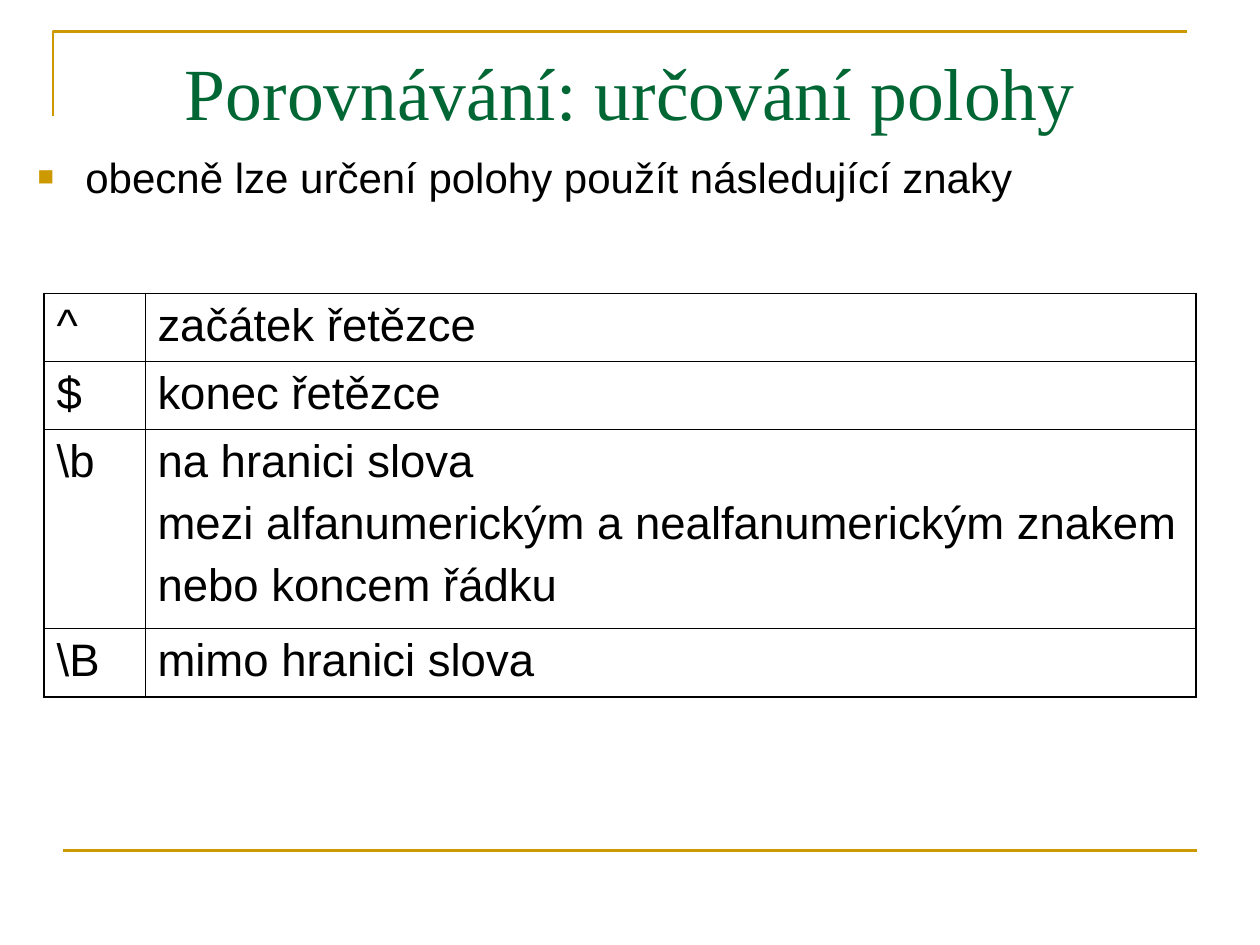
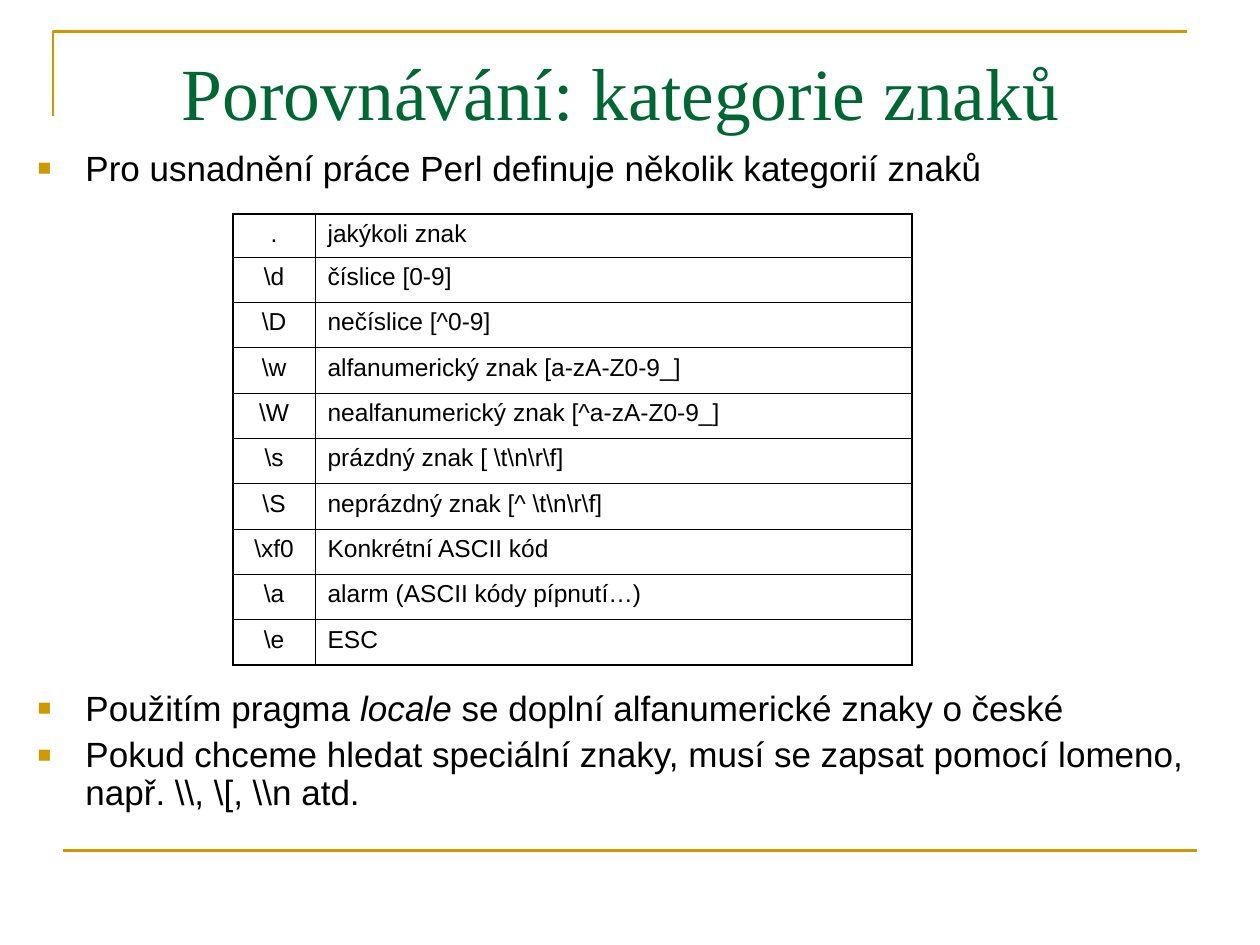
from lxml import etree
from pptx import Presentation
from pptx import util as u
from pptx.dml.color import RGBColor
from pptx.enum import shapes, text
from pptx.oxml import ns

GOLD = RGBColor(0xCC, 0x99, 0x00)
GREEN = RGBColor(0x00, 0x66, 0x33)
BLACK = RGBColor(0x00, 0x00, 0x00)
TITLE_FONT, BODY_FONT = "Times New Roman", "Arial"
THIN, THICK = 0.45, 1.08
HANGING = 0.38

SLIDES = [
    {
        "title": "Porovnávání: určování polohy",
        "size": 24, "line_spacing": 1.0, "body_height": 5.59,
        "bullets": [
            (6, [("obecně lze určení polohy použít následující znaky", False)]),
        ],
        "table": {
            "at": (0.35, 2.33), "columns": (0.8, 8.34),
            "row_heights": [0.54, 0.54, 1.58, 0.54],
            "size": 26, "space": 6.5, "key_align": text.PP_ALIGN.LEFT,
            "rows": [
                ("^", "začátek řetězce"),
                ("$", "konec řetězce"),
                (r"\b", "na hranici slova\n"
                        "mezi alfanumerickým a nealfanumerickým znakem\n"
                        "nebo koncem řádku"),
                (r"\B", "mimo hranici slova"),
            ],
        },
    },
    {
        "title": "Porovnávání: kategorie znaků ",
        "size": 20, "line_spacing": 0.9, "body_height": 5.75,
        "bullets": [
            (5, [("Pro usnadnění práce Perl definuje několik kategorií znaků", False)]),
            (287, [("Použitím pragma", False), (" locale", True),
                   (" se doplní alfanumerické znaky o české", False)]),
            (5, [("Pokud chceme hledat speciální znaky, musí se zapsat pomocí "
                  r"lomeno, např. \\, \[, \\n atd.", False)]),
        ],
        "table": {
            "at": (1.85, 1.7), "columns": (0.65, 4.74),
            "row_heights": [0.34] + [0.36] * 9,
            "size": 14, "space": 3.5, "key_align": text.PP_ALIGN.CENTER,
            "rows": [
                (".", "jakýkoli znak"),
                (r"\d", "číslice [0-9]"),
                (r"\D", "nečíslice [^0-9]"),
                (r"\w", "alfanumerický znak [a-zA-Z0-9_]"),
                (r"\W", "nealfanumerický znak [^a-zA-Z0-9_]"),
                (r"\s", r"prázdný znak [ \t\n\r\f]"),
                (r"\S", r"neprázdný znak [^ \t\n\r\f]"),
                (r"\xf0", "Konkrétní ASCII kód"),
                (r"\a", "alarm (ASCII kódy pípnutí…)"),
                (r"\e", "ESC"),
            ],
        },
    },
]


def add_element(parent, tag, **attributes):
    return etree.SubElement(parent, ns.qn(tag), attributes)


def style_font(font, name, size, color):
    font.name = name
    font.size = u.Pt(size)
    font.color.rgb = color


def add_frame(page):
    left, top, right, bottom = map(u.Inches, (0.42, 0.25, 9.42, 0.92))
    builder = page.shapes.build_freeform(left, bottom)
    builder.add_line_segments([(left, top), (right, top)], close=False)
    corner = builder.convert_to_shape()
    corner.shadow.inherit = False
    corner.fill.background()
    footer = page.shapes.add_connector(
        shapes.MSO_CONNECTOR.STRAIGHT, *map(u.Inches, (0.5, 6.75, 9.5, 6.75)))
    add_element(footer.element.spPr, "a:effectLst")
    for part in (corner, footer):
        part.line.color.rgb = GOLD
        part.line.width = u.Pt(1.5)


def add_text_box(page, left, top, width, height):
    box = page.shapes.add_textbox(*map(u.Inches, (left, top, width, height)))
    box.text_frame.word_wrap = True
    return box.text_frame


def add_title(page, title):
    frame = add_text_box(page, 0.5, 0.3, 9, 0.85)
    frame.vertical_anchor = text.MSO_ANCHOR.MIDDLE
    para = frame.paragraphs[0]
    para.text = title
    para.alignment = text.PP_ALIGN.CENTER
    style_font(para.runs[0].font, TITLE_FONT, 42, GREEN)


def add_bullet_mark(para):
    properties = para._p.get_or_add_pPr()
    indent = u.Inches(HANGING)
    properties.set("marL", str(indent))
    properties.set("indent", str(-indent))
    color = add_element(properties, "a:buClr")
    add_element(color, "a:srgbClr", val=str(GOLD))
    add_element(properties, "a:buSzPct", val="65000")
    add_element(properties, "a:buFont", typeface=BODY_FONT)
    add_element(properties, "a:buChar", char="■")


def add_body(page, content):
    frame = add_text_box(page, 0.2, 1.15, 9.8, content["body_height"])
    for index, (space, pieces) in enumerate(content["bullets"]):
        para = frame.add_paragraph() if index else frame.paragraphs[0]
        para.space_before = u.Pt(space)
        para.line_spacing = content["line_spacing"]
        add_bullet_mark(para)
        for words, italic in pieces:
            span = para.add_run()
            span.text = words
            style_font(span.font, BODY_FONT, content["size"], BLACK)
            span.font.italic = italic


def set_borders(cell, widths):
    properties = cell._tc.get_or_add_tcPr()
    for side, width in zip("LRTB", widths):
        line = add_element(properties, f"a:ln{side}", w=str(u.Pt(width)))
        fill = add_element(line, "a:solidFill")
        add_element(fill, "a:srgbClr", val=str(BLACK))


def add_symbol_table(page, content):
    rows, columns = content["rows"], content["columns"]
    heights = content["row_heights"]
    size = map(u.Inches, (*content["at"], sum(columns), sum(heights)))
    grid = page.shapes.add_table(len(rows), len(columns), *size).table
    grid.first_row = grid.horz_banding = False
    for column, width in zip(grid.columns, columns):
        column.width = u.Inches(width)
    for r, (row, height) in enumerate(zip(rows, heights)):
        grid.rows[r].height = u.Inches(height)
        for c, words in enumerate(row):
            cell = grid.cell(r, c)
            outer = (c == 0, c == len(columns) - 1, r == 0, r == len(rows) - 1)
            set_borders(cell, [THICK if edge else THIN for edge in outer])
            cell.fill.background()
            cell.text_frame.text = words
            for para in cell.text_frame.paragraphs:
                para.space_before = u.Pt(content["space"])
                para.alignment = text.PP_ALIGN.LEFT if c else content["key_align"]
                style_font(para.runs[0].font, BODY_FONT, content["size"], BLACK)


def main():
    deck = Presentation()
    deck.slide_width, deck.slide_height = u.Inches(10), u.Inches(7.5)
    for content in SLIDES:
        page = deck.slides.add_slide(deck.slide_layouts[6])
        add_frame(page)
        add_title(page, content["title"])
        add_body(page, content)
        add_symbol_table(page, content["table"])
    deck.save("out.pptx")


if __name__ == "__main__":
    main()
